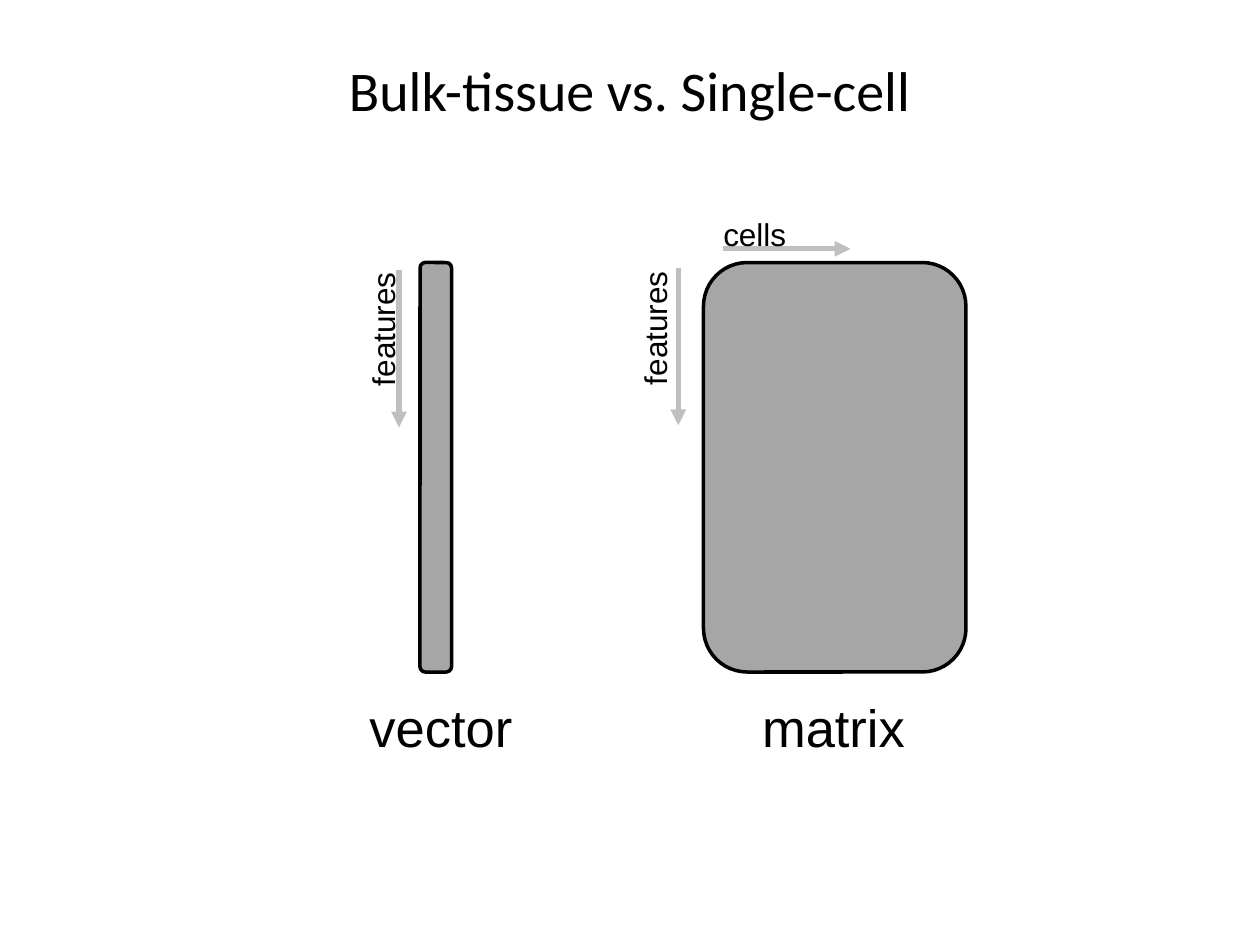
from lxml import etree
from pptx import Presentation
from pptx import util as u
from pptx.dml.color import RGBColor
from pptx.enum import shapes, text
from pptx.oxml import ns

CELL = 1 / 12


def grid(cells):
    return u.Inches(cells * CELL)


def paint(target, hex_colour):
    target.rgb = RGBColor.from_string(hex_colour)


class Sketch:
    ink, body, arrow_grey = "000000", "A6A6A6", "BFBFBF"
    heading_font, label_font = "Calibri", "Arial"

    def __init__(self, slide):
        self.slide = slide

    def style(self, frame, font, size, align):
        paragraph = frame.paragraphs[0]
        paragraph.alignment = align
        for run in paragraph.runs:
            run.font.name, run.font.size = font, u.Pt(size)
            paint(run.font.color, self.ink)

    def title(self, words, left, top, width, height):
        heading = self.slide.shapes.title
        heading.left, heading.top = grid(left), grid(top)
        heading.width, heading.height = grid(width), grid(height)
        heading.text_frame.text = words
        heading.text_frame.vertical_anchor = text.MSO_ANCHOR.MIDDLE
        self.style(heading.text_frame, self.heading_font, 32, text.PP_ALIGN.CENTER)

    def block(self, left, top, width, height):
        block = self.slide.shapes.add_shape(
            shapes.MSO_SHAPE.ROUNDED_RECTANGLE,
            grid(left), grid(top), grid(width), grid(height))
        block.shadow.inherit = False
        block.fill.solid()
        paint(block.fill.fore_color, self.body)
        paint(block.line.color, self.ink)
        block.line.width = u.Pt(2)

    def arrow(self, left, top, across=0, down=0):
        arrow = self.slide.shapes.add_connector(
            shapes.MSO_CONNECTOR.STRAIGHT, grid(left), grid(top),
            grid(left + across), grid(top + down))
        paint(arrow.line.color, self.arrow_grey)
        arrow.line.width = u.Pt(3)
        line = arrow.line._get_or_add_ln()
        etree.SubElement(line, ns.qn("a:tailEnd"), type="triangle")
        etree.SubElement(arrow._element.spPr, ns.qn("a:effectLst"))

    def label(self, words, left, top, width, height, size, rotation=0, wrap=False):
        label = self.slide.shapes.add_textbox(
            grid(left), grid(top), grid(width), grid(height))
        label.rotation = rotation
        frame = label.text_frame
        frame.text = words
        frame.word_wrap = wrap
        frame.auto_size = text.MSO_AUTO_SIZE.SHAPE_TO_FIT_TEXT
        self.style(frame, self.label_font, size, text.PP_ALIGN.LEFT)


def main():
    deck = Presentation()
    deck.slide_width, deck.slide_height = grid(120), grid(90)
    sketch = Sketch(deck.slides.add_slide(deck.slide_layouts[5]))
    sketch.title("Bulk-tissue vs. Single-cell", 6, 1, 108, 15)

    data_top, data_height = 25, 39
    for left, width in ((40, 3), (67, 25)):
        sketch.block(left, data_top, width, data_height)

    for arrow_left, arrow_top, label_left, label_top in (
            (38, 25.7, 29.8, 28.9), (64.6, 25.5, 55.7, 28.8)):
        sketch.arrow(arrow_left, arrow_top, down=15)
        sketch.label("features", label_left, label_top, 13.3, 4.8, 18, rotation=270)

    sketch.arrow(68.9, 23.7, across=12.1)
    sketch.label("cells", 67.7, 19.9, 13.3, 4.8, 18, wrap=True)

    for name, left in (("vector", 34), ("matrix", 71.4)):
        sketch.label(name, left, 65.6, 16.2, 7.3, 30)

    deck.save("out.pptx")


if __name__ == "__main__":
    main()
